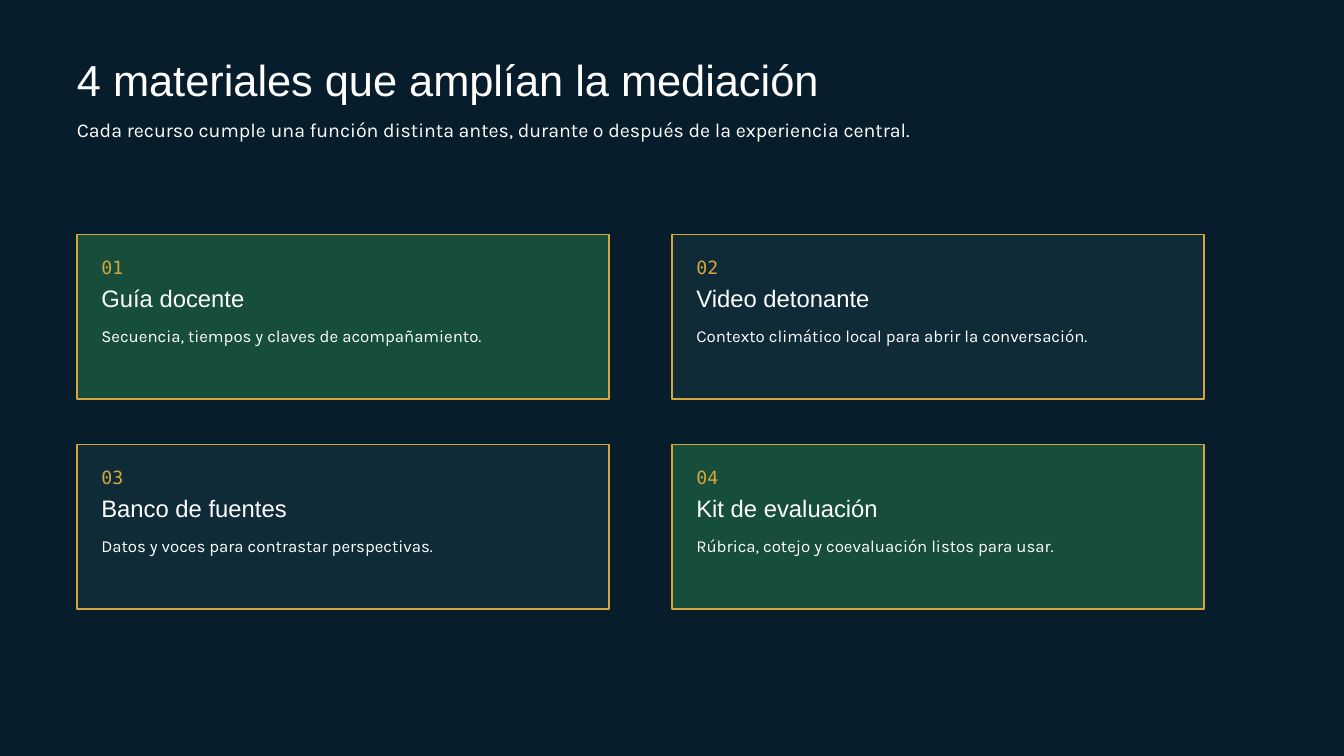
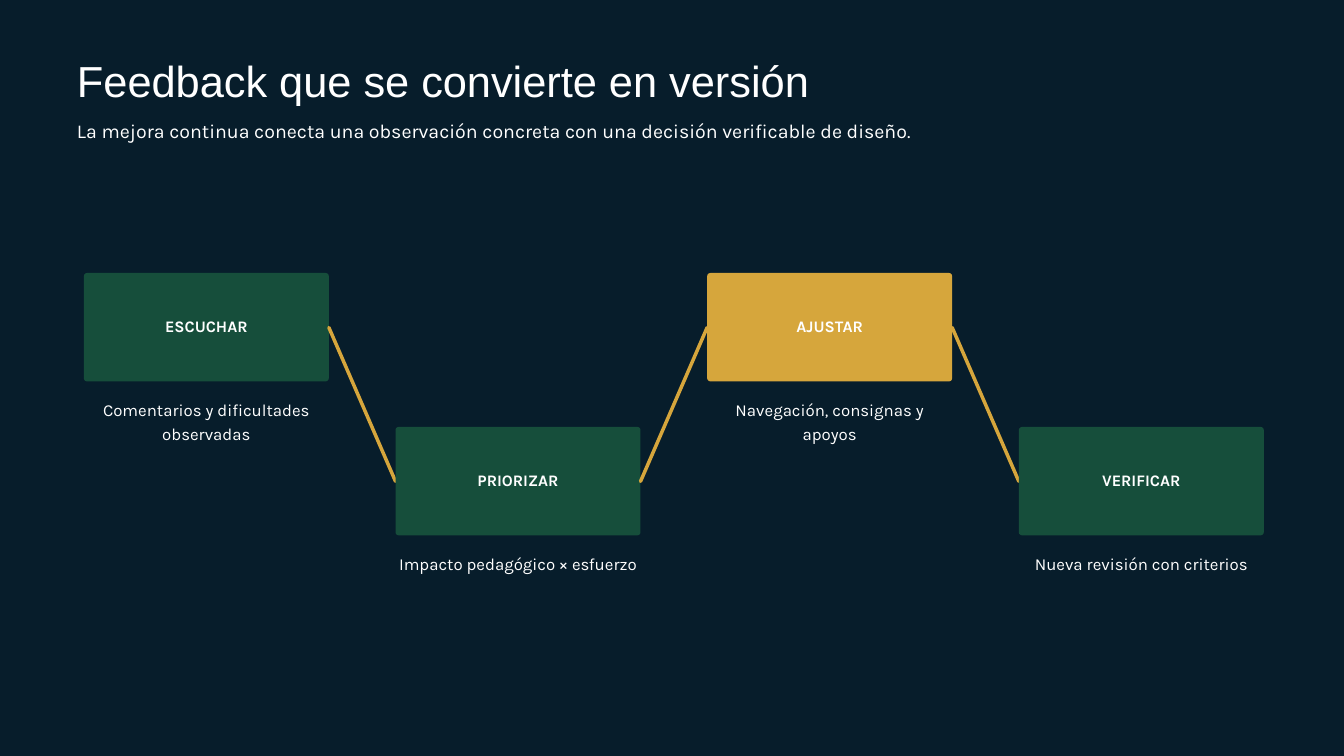
import pptx
import pptx.dml.color
import pptx.enum.shapes
import pptx.enum.text
import pptx.oxml
import pptx.oxml.ns
import pptx.util
from pptx.util import Cm

# Shared palette and fonts
NIGHT, SLATE, GREEN = "071D2B", "102B38", "164E3B"
GOLD, WHITE = "D6A63C", "FFFFFF"
HEADING, BODY, MONO = "Arial", "Karla", "DejaVu Sans Mono"
LEFT = 2.91
SHAPES = pptx.enum.shapes.MSO_SHAPE
ALIGN = pptx.enum.text.PP_ALIGN


def color(value):
    return pptx.dml.color.RGBColor.from_string(value)


def write(box, text, size, spacing, font=BODY, fill=WHITE, bold=False,
          align=ALIGN.LEFT, inset=0, middle=False):
    frame = box.text_frame
    frame.word_wrap = True
    frame.margin_left = frame.margin_right = Cm(inset)
    frame.margin_top = frame.margin_bottom = Cm(inset)
    if middle:
        frame.vertical_anchor = pptx.enum.text.MSO_ANCHOR.MIDDLE
    else:
        frame.vertical_anchor = pptx.enum.text.MSO_ANCHOR.TOP
        frame.auto_size = pptx.enum.text.MSO_AUTO_SIZE.SHAPE_TO_FIT_TEXT
    para = frame.paragraphs[0]
    para.alignment = align
    para.line_spacing = pptx.util.Pt(spacing)
    span = para.add_run()
    span.text = text
    span.font.name = font
    span.font.size = pptx.util.Pt(size)
    span.font.bold = bold
    span.font.color.rgb = color(fill)


deck = pptx.Presentation()
deck.slide_width, deck.slide_height = Cm(50.8), Cm(28.58)

# Background, title and subtitle of both slides
headers = [
    (2.31, "4 materiales que amplían la mediación",
     "Cada recurso cumple una función distinta antes, durante o después de la "
     "experiencia central."),
    (2.36, "Feedback que se convierte en versión",
     "La mejora continua conecta una observación concreta con una decisión "
     "verificable de diseño."),
]
pages = []
for top, title, subtitle in headers:
    page = deck.slides.add_slide(deck.slide_layouts[6])
    page.background.fill.solid()
    page.background.fill.fore_color.rgb = color(NIGHT)
    box = page.shapes.add_textbox(Cm(LEFT), Cm(top), Cm(39.4), Cm(1.78))
    write(box, title, 46.5, 47.4, font=HEADING)
    box = page.shapes.add_textbox(Cm(LEFT), Cm(top + 2.08), Cm(31.75), Cm(0.94))
    write(box, subtitle, 21, 27.3)
    pages.append(page)
materials_page, feedback_page = pages

# Slide 1: two by two grid of material cards
materials = [
    ("Guía docente", "Secuencia, tiempos y claves de acompañamiento.", GREEN),
    ("Video detonante", "Contexto climático local para abrir la conversación.", SLATE),
    ("Banco de fuentes", "Datos y voces para contrastar perspectivas.", SLATE),
    ("Kit de evaluación", "Rúbrica, cotejo y coevaluación listos para usar.", GREEN),
]
for index, (name, purpose, fill) in enumerate(materials):
    row, column = divmod(index, 2)
    x, y = LEFT + column * 22.49, 8.87 + row * 7.94
    card = materials_page.shapes.add_shape(
        SHAPES.RECTANGLE, Cm(x), Cm(y), Cm(20.11), Cm(6.22))
    card.shadow.inherit = False
    card.fill.solid()
    card.fill.fore_color.rgb = color(fill)
    card.line.color.rgb = color(GOLD)
    card.line.width = pptx.util.Pt(1.5)

    x += 0.92
    box = materials_page.shapes.add_textbox(Cm(x), Cm(y + 0.69), Cm(2.39), Cm(0.91))
    write(box, f"{index + 1:02}", 19.5, 27.3, font=MONO, fill=GOLD)
    box = materials_page.shapes.add_textbox(Cm(x), Cm(y + 1.69), Cm(17.2), Cm(1.22))
    write(box, name, 25.5, 35.7, font=HEADING)
    box = materials_page.shapes.add_textbox(Cm(x), Cm(y + 3.33), Cm(17.48), Cm(0.86))
    write(box, purpose, 18, 25.2)

# Slide 2: zigzag of feedback steps, each joined to the one before
steps = [
    ("ESCUCHAR", "Comentarios y dificultades observadas", GREEN),
    ("PRIORIZAR", "Impacto pedagógico × esfuerzo", GREEN),
    ("AJUSTAR", "Navegación, consignas y apoyos", GOLD),
    ("VERIFICAR", "Nueva revisión con criterios", GREEN),
]
step_width, step_height = 9.26, 4.1
joint = None
for index, (name, detail, fill) in enumerate(steps):
    x, y = 3.17 + index * 11.78, 10.32 + index % 2 * 5.82
    center = y + 2.06
    if joint:
        link = feedback_page.shapes.add_connector(
            pptx.enum.shapes.MSO_CONNECTOR.STRAIGHT,
            Cm(joint[0]), Cm(joint[1]), Cm(x), Cm(center))
        link.line.color.rgb = color(GOLD)
        link.line.width = pptx.util.Pt(3.75)
        properties = link._element.spPr
        properties.find(pptx.oxml.ns.qn("a:ln")).set("cap", "rnd")
        properties.append(pptx.oxml.parse_xml(
            f"<a:effectLst {pptx.oxml.ns.nsdecls('a')}/>"))
    joint = (x + step_width, center)

    step = feedback_page.shapes.add_shape(
        SHAPES.ROUNDED_RECTANGLE, Cm(x), Cm(y), Cm(step_width), Cm(step_height))
    step.adjustments[0] = 0.03
    step.shadow.inherit = False
    step.fill.solid()
    step.fill.fore_color.rgb = color(fill)
    step.line.fill.background()
    write(step, name, 17.2, 18.1, bold=True, align=ALIGN.CENTER, inset=0.15,
          middle=True)
    box = feedback_page.shapes.add_textbox(
        Cm(x), Cm(y + 4.67), Cm(step_width), Cm(0.86))
    write(box, detail, 18, 25.2, align=ALIGN.CENTER)

deck.save("out.pptx")
